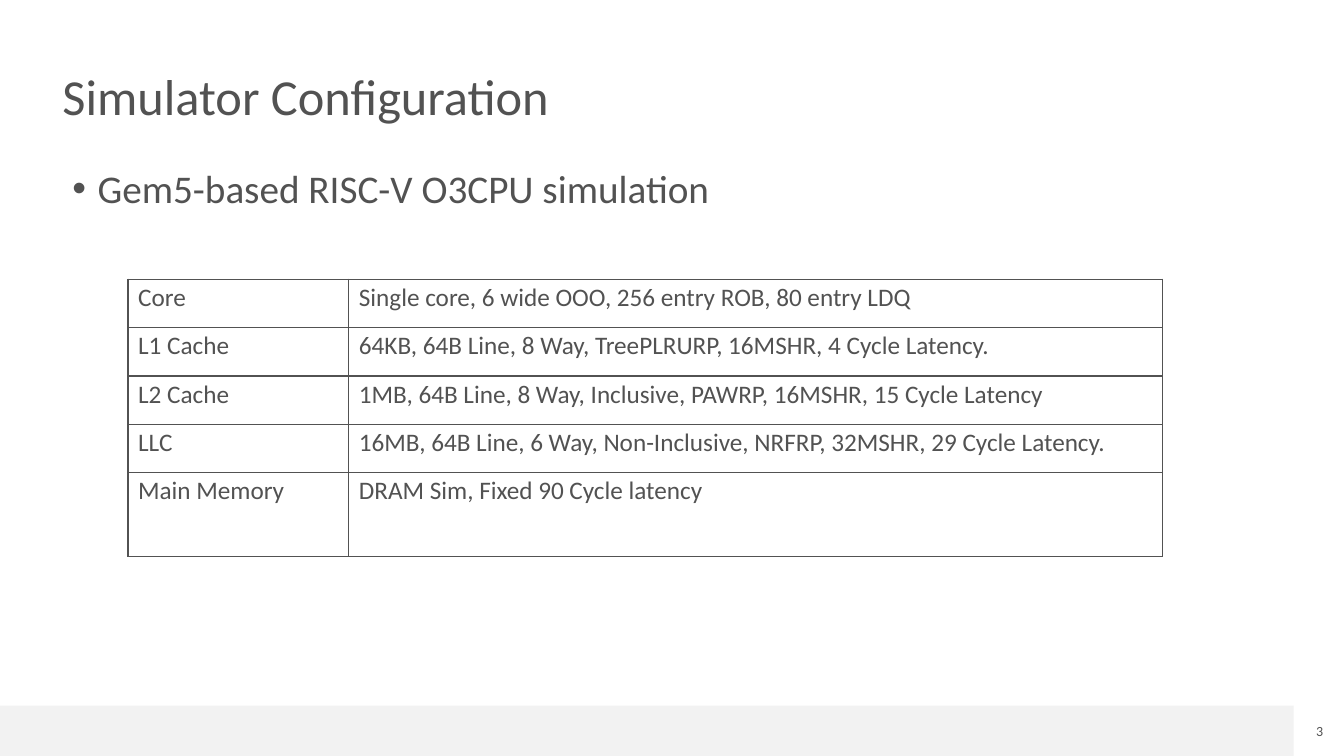
from typing import NamedTuple

from lxml.etree import SubElement
from pptx import Presentation
from pptx.dml.color import RGBColor
from pptx.enum.shapes import MSO_SHAPE as Shape
from pptx.enum.text import MSO_ANCHOR as Anchor, PP_ALIGN as Align
from pptx.oxml.ns import qn
from pptx.util import Inches, Pt

FONT = "Calibri"
INK = "525252"
FOOTER_GRAY = "F2F2F2"


class Box(NamedTuple):
    left: float
    top: float
    width: float
    height: float


class Component(NamedTuple):
    name: str
    settings: str
    height: float = 0.48


COMPONENTS = [
    Component("Core", "Single core, 6 wide OOO, 256 entry ROB, 80 entry LDQ"),
    Component("L1 Cache", "64KB, 64B Line, 8 Way, TreePLRURP, 16MSHR, 4 Cycle Latency."),
    Component("L2 Cache", "1MB, 64B Line, 8 Way, Inclusive, PAWRP, 16MSHR, 15 Cycle Latency"),
    Component("LLC", "16MB, 64B Line, 6 Way, Non-Inclusive, NRFRP, 32MSHR, 29 Cycle Latency."),
    Component("Main Memory", "DRAM Sim, Fixed 90 Cycle latency", 0.83),
]
COLUMN_WIDTHS = [2.19, 8.07]


def color(value: str) -> RGBColor:
    return RGBColor.from_string(value)


def write_text(frame, text: str, *, size: float, align=Align.LEFT,
               line_spacing: float = 0.9, bullet: str = "") -> None:
    paragraph = frame.paragraphs[0]
    paragraph.text = text
    paragraph.alignment = align
    paragraph.line_spacing = line_spacing
    if bullet:
        properties = paragraph._p.get_or_add_pPr()
        properties.set("marL", str(Inches(0.25)))
        properties.set("indent", str(Inches(-0.25)))
        SubElement(properties, qn("a:buFont"), typeface="Arial")
        SubElement(properties, qn("a:buChar"), char=bullet)
    font = paragraph.runs[0].font
    font.name = FONT
    font.size = Pt(size)
    font.color.rgb = color(INK)


def add_text(slide, box: Box, text: str, *, margins: bool = True,
             anchor=Anchor.TOP, wrap: bool = True, **text_format) -> None:
    frame = slide.shapes.add_textbox(*map(Inches, box)).text_frame
    frame.word_wrap = wrap
    frame.vertical_anchor = anchor
    if not margins:
        frame.margin_left = frame.margin_right = 0
        frame.margin_top = frame.margin_bottom = 0
    write_text(frame, text, **text_format)


def add_footer_band(slide, box: Box) -> None:
    band = slide.shapes.add_shape(Shape.RECTANGLE, *map(Inches, box))
    band.shadow.inherit = False
    band.fill.solid()
    band.fill.fore_color.rgb = color(FOOTER_GRAY)
    band.line.fill.background()


def add_borders(cell, width: float) -> None:
    properties = cell._tc.get_or_add_tcPr()
    for side in ("lnL", "lnR", "lnT", "lnB"):
        line = SubElement(properties, qn(f"a:{side}"), w=str(Pt(width)))
        fill = SubElement(line, qn("a:solidFill"))
        SubElement(fill, qn("a:srgbClr"), val=INK)


def add_component_table(slide, left: float, top: float) -> None:
    width = sum(COLUMN_WIDTHS)
    height = sum(component.height for component in COMPONENTS)
    box = Box(left, top, width, height)
    table = slide.shapes.add_table(
        len(COMPONENTS), len(COLUMN_WIDTHS), *map(Inches, box)).table
    table.first_row = False
    table.horz_banding = False
    for column, column_width in zip(table.columns, COLUMN_WIDTHS):
        column.width = Inches(column_width)
    for row, component in zip(table.rows, COMPONENTS):
        row.height = Inches(component.height)
        for cell, text in zip(row.cells, (component.name, component.settings)):
            write_text(cell.text_frame, text, size=18)
            add_borders(cell, 1)
            cell.fill.background()


def main() -> None:
    presentation = Presentation()
    presentation.slide_width = Inches(13.33)
    presentation.slide_height = Inches(7.5)
    slide = presentation.slides.add_slide(presentation.slide_layouts[6])
    add_footer_band(slide, Box(0, 7, 12.83, 0.5))
    add_text(slide, Box(13.01, 7.17, 0.16, 0.17), "3", size=10, margins=False,
             wrap=False, align=Align.CENTER, line_spacing=1.0)
    add_text(slide, Box(0.62, 0.56, 12.04, 0.85), "Simulator Configuration",
             size=36, margins=False, anchor=Anchor.MIDDLE)
    add_text(slide, Box(0.62, 1.63, 12.04, 5.25),
             "Gem5-based RISC-V O3CPU simulation", size=28, bullet="•")
    add_component_table(slide, 1.27, 2.77)
    presentation.save("out.pptx")


if __name__ == "__main__":
    main()
